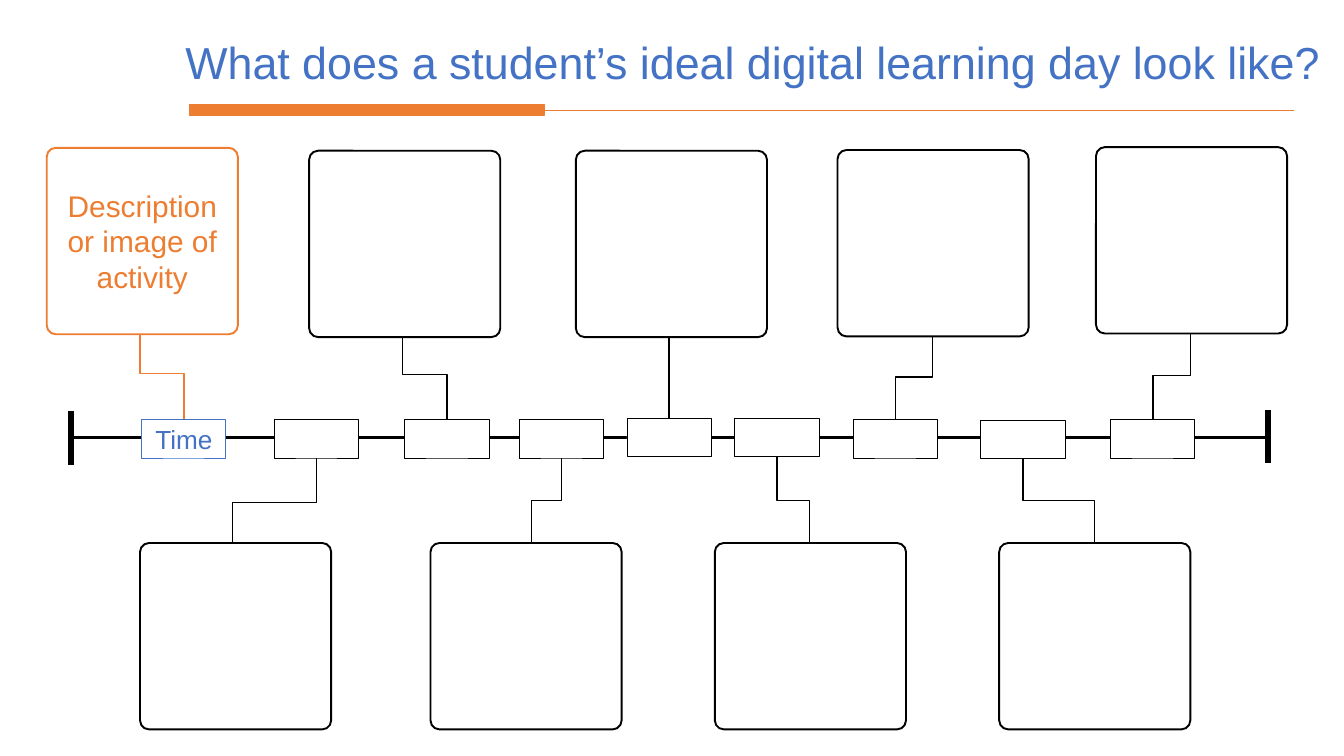
import pptx
import pptx.util
import pptx.dml.color
import pptx.enum.shapes
import pptx.enum.text
import pptx.oxml.ns
import lxml.etree

Cm, Pt = pptx.util.Cm, pptx.util.Pt
SHAPE = pptx.enum.shapes.MSO_SHAPE
CONNECTOR = pptx.enum.shapes.MSO_CONNECTOR
ALIGN = pptx.enum.text.PP_ALIGN

COLOURS = {"orange": "ED7D31", "blue": "4472C4", "black": "000000", "white": "FFFFFF"}
FONT = "Arial"
TITLE = "What does a student’s ideal digital learning day look like?"

# All lengths are in centimetres.
SLIDE_SIZE = (37.34, 21.01)
CARD_SIZE = (5.31, 5.18)
SLOT_SIZE = (2.34, 1.07)
CARD_CORNER = 0.048
LOWER_CARD_TOP = 15.09
AXIS_Y = 12.17

# Each moment: slot left and top, card left and top, link x and y at the card.
MOMENTS = [
    (3.94, 11.66, 1.30, 4.11, 3.89, 9.09),
    (7.62, 11.66, 3.89, LOWER_CARD_TOP, 6.45, 15.19),
    (11.25, 11.66, 8.59, 4.19, 11.18, 9.17),
    (14.43, 11.66, 11.96, LOWER_CARD_TOP, 14.76, 15.09),
    (17.42, 11.63, 16.00, 4.19, 18.59, 9.35),
    (20.42, 11.63, 19.86, LOWER_CARD_TOP, 22.50, 15.11),
    (23.70, 11.66, 23.27, 4.17, 25.91, 9.30),
    (27.25, 11.68, 27.76, LOWER_CARD_TOP, 30.40, 15.09),
    (30.86, 11.66, 30.45, 4.09, 33.07, 9.22),
]
# The first moment is the worked example.
EXAMPLE = {
    "card": ("Description or image of activity", 23.5, "orange"),
    "slot": ("Time", 20.6, "blue"),
}

# Each line: start, end, colour, weight in points.
RULE = ((5.26, 3.07), (35.94, 3.07), "orange", 0.75)
AXIS_LINES = [
    ((1.98, 11.43), (1.98, 12.93), "black", 4.5),
    ((35.23, 11.40), (35.23, 12.88), "black", 4.5),
    ((1.98, AXIS_Y), (35.20, AXIS_Y), "black", 2.25),
]


def rgb(name):
    return pptx.dml.color.RGBColor.from_string(COLOURS[name])


def write_text(box, text, size, colour, align):
    para = box.text_frame.paragraphs[0]
    para.alignment = align
    span = para.add_run()
    span.text = text
    for name, value in {"name": FONT, "size": Pt(size)}.items():
        setattr(span.font, name, value)
    span.font.color.rgb = rgb(colour)


def add_line(page, start, end, colour, weight, kind=CONNECTOR.STRAIGHT):
    line = page.shapes.add_connector(kind, *map(Cm, (*start, *end)))
    line.line.color.rgb = rgb(colour)
    line.line.width = Pt(weight)
    properties = line._element.spPr
    lxml.etree.SubElement(properties, pptx.oxml.ns.qn("a:effectLst"))
    return line


def add_link(page, top, bottom, colour):
    """Join two points by a line that leaves and arrives vertically."""
    (x1, y1), (x2, y2) = top, bottom
    if abs(x2 - x1) < 0.05:
        add_line(page, top, (x1, y2), colour, 1)
        return
    # An elbow runs sideways first, so it is laid flat and turned a quarter.
    turn = 270 if x2 > x1 else 90
    middle_x, middle_y = (x1 + x2) / 2, (y1 + y2) / 2
    reach = (y2 - y1) / 2 * (1 if turn == 270 else -1)
    drop = abs(x2 - x1) / 2
    link = add_line(page, (middle_x + reach, middle_y - drop),
                    (middle_x - reach, middle_y + drop), colour, 1, CONNECTOR.ELBOW)
    link._element.spPr.xfrm.set("rot", str(turn * 60000))


def add_box(page, kind, place, size, fill, line, weight, label=None):
    box = page.shapes.add_shape(kind, *map(Cm, (*place, *size)))
    box.shadow.inherit = False
    box.fill.solid()
    box.fill.fore_color.rgb = rgb(fill)
    box.line.color.rgb = rgb(line)
    box.line.width = Pt(weight)
    if label:
        box.text_frame.word_wrap = True
        box.text_frame.vertical_anchor = pptx.enum.text.MSO_ANCHOR.MIDDLE
        write_text(box, *label, ALIGN.CENTER)
    return box


def add_heading(page):
    title = page.shapes.add_textbox(*map(Cm, (4.90, 0.84, 32.77, 1.75)))
    title.text_frame.word_wrap = True
    title.text_frame.auto_size = pptx.enum.text.MSO_AUTO_SIZE.SHAPE_TO_FIT_TEXT
    write_text(title, TITLE, 35.3, "blue", ALIGN.LEFT)
    add_line(page, *RULE)
    add_box(page, SHAPE.RECTANGLE, (5.26, 2.90), (9.86, 0.30), "orange", "orange", 1)


def add_card(page, moment, is_example):
    """Draw a card and the link from it to its slot."""
    slot_left, slot_top, card_left, card_top, link_x, link_y = moment
    colour = "orange" if is_example else "black"
    slot_x = slot_left + SLOT_SIZE[0] / 2
    is_lower = card_top > AXIS_Y
    if is_lower:
        add_link(page, (slot_x, slot_top + SLOT_SIZE[1]), (link_x, link_y), colour)
    else:
        add_link(page, (link_x, link_y), (slot_x, slot_top), colour)
    card = add_box(page, SHAPE.ROUNDED_RECTANGLE, (card_left, card_top), CARD_SIZE,
                   "white", colour, 1.5, EXAMPLE["card"] if is_example else None)
    card.adjustments[0] = CARD_CORNER
    card.rotation = 180 if is_lower else 0


def main():
    deck = pptx.Presentation()
    deck.slide_width, deck.slide_height = map(Cm, SLIDE_SIZE)
    page = deck.slides.add_slide(deck.slide_layouts[6])
    add_heading(page)
    for index, moment in enumerate(MOMENTS):
        add_card(page, moment, index == 0)
    for line in AXIS_LINES:
        add_line(page, *line)
    for index, moment in enumerate(MOMENTS):
        is_example = index == 0
        add_box(page, SHAPE.RECTANGLE, moment[:2], SLOT_SIZE, "white",
                "blue" if is_example else "black", 0.75,
                EXAMPLE["slot"] if is_example else None)
    deck.save("out.pptx")


if __name__ == "__main__":
    main()
